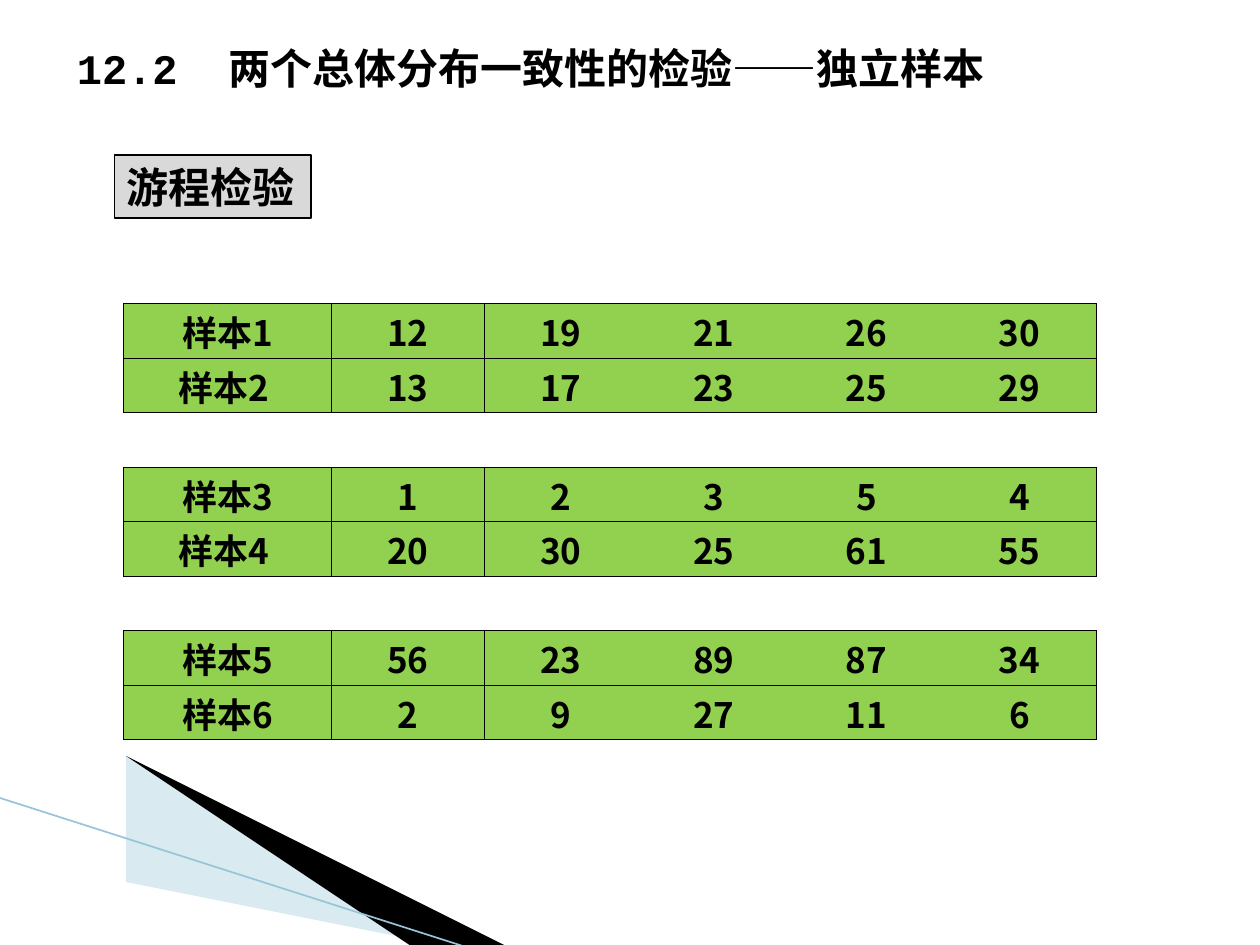
from dataclasses import dataclass

from lxml.etree import SubElement
from pptx import Presentation
from pptx.dml.color import RGBColor as RGB
from pptx.enum.shapes import MSO_CONNECTOR as CONN, MSO_SHAPE as SHAPE
from pptx.enum.text import MSO_ANCHOR as ANCHOR, MSO_AUTO_SIZE as AUTO, PP_ALIGN as ALIGN
from pptx.oxml.ns import qn
from pptx.util import Inches, Pt


@dataclass(frozen=True)
class Theme:
    ink: str = "000000"
    label: str = "D9D9D9"
    cell: str = "92D050"
    sweep: str = "A0CBDC"
    edge: str = "97C5D8"
    mono: str = "Courier New"
    sans: str = "Noto Sans CJK SC"
    heading: float = 24
    body: float = 20


@dataclass(frozen=True)
class Wedge:
    points: tuple[tuple[float, float], ...]
    color: str
    opacity: int = 100


@dataclass(frozen=True)
class Sample:
    name: str
    values: tuple[int, ...]


T = Theme()
WEDGES = (
    Wedge(((0.55, 6.51), (5.95, 7.51), (4.56, 7.51), (0.55, 6.5)), T.sweep, 40),
    Wedge(((0.53, 6.49), (4.57, 7.51), (3.72, 7.52), (0.54, 6.5)), T.ink),
)
PAIRS = (
    (Sample("样本1", (12, 19, 21, 26, 30)), Sample("样本2 ", (13, 17, 23, 25, 29))),
    (Sample("样本3", (1, 2, 3, 5, 4)), Sample("样本4 ", (20, 30, 25, 61, 55))),
    (Sample("样本5", (56, 23, 89, 87, 34)), Sample("样本6", (2, 9, 27, 11, 6))),
)
NAME_W, VALUE_W, ROW_H = 1.65, 1.214, 0.433


def rgb(color: str) -> RGB:
    return RGB.from_string(color)


def style_text(tf, font: str, size: float, align=ALIGN.LEFT) -> None:
    for p in tf.paragraphs:
        p.alignment = align
        for r in p.runs:
            r.font.name, r.font.size, r.font.bold = font, Pt(size), True
            r.font.color.rgb = rgb(T.ink)


def draw_wedge(shapes, wedge: Wedge) -> None:
    start, *rest = wedge.points
    builder = shapes.build_freeform(*start, scale=Inches(1))
    builder.add_line_segments(rest)
    sp = builder.convert_to_shape()
    sp.shadow.inherit = False
    sp.fill.solid()
    sp.fill.fore_color.rgb = rgb(wedge.color)
    sp.line.fill.background()
    if wedge.opacity < 100:
        clr = sp.fill._xPr.find(".//" + qn("a:srgbClr"))
        SubElement(clr, qn("a:alpha"), val=str(wedge.opacity * 1000))


def set_borders(cell, sides: str) -> None:
    """Draw thin borders on the sides named by the letters L, R, T, B."""
    pr = cell._tc.get_or_add_tcPr()
    for i, side in enumerate(s for s in "LRTB" if s in sides):
        ln = pr.makeelement(qn("a:ln" + side), {"w": str(Pt(0.5))})
        fill = SubElement(ln, qn("a:solidFill"))
        SubElement(fill, qn("a:srgbClr"), val=T.ink)
        pr.insert(i, ln)


def fill_row(table, row: int, sample: Sample) -> None:
    last = len(sample.values)
    for col, value in enumerate((sample.name, *sample.values)):
        cell = table.cell(row, col)
        cell.text = str(value)
        style_text(cell.text_frame, T.sans, T.body, ALIGN.CENTER)
        for r in cell.text_frame.paragraphs[0].runs:
            SubElement(r.font._element, qn("a:ea"), typeface=T.sans)
        cell.fill.solid()
        cell.fill.fore_color.rgb = rgb(T.cell)
        set_borders(cell, {0: "LRTB", 1: "LTB", last: "RTB"}.get(col, "TB"))


prs = Presentation()
prs.slide_width, prs.slide_height = Inches(10), Inches(7.5)
slide = prs.slides.add_slide(prs.slide_layouts[5])
shapes = slide.shapes

# Corner decoration
for wedge in WEDGES:
    draw_wedge(shapes, wedge)
edge = shapes.add_connector(CONN.STRAIGHT, Inches(-0.01), Inches(6.33), Inches(3.71), Inches(7.52))
edge.line.color.rgb, edge.line.width = rgb(T.edge), Pt(0.95)
SubElement(edge._element.spPr, qn("a:effectLst"))

# Section label
label = shapes.add_shape(SHAPE.RECTANGLE, Inches(0.91), Inches(1.23), Inches(1.56), Inches(0.5))
label.shadow.inherit = False
label.fill.solid()
label.fill.fore_color.rgb = rgb(T.label)
label.line.color.rgb, label.line.width = rgb(T.ink), Pt(0.75)
label.text_frame.text = "游程检验"
label.text_frame.word_wrap = False
style_text(label.text_frame, T.mono, T.heading)

# Sample table: pairs of rows with an empty row between them
n_rows, n_cols = 3 * len(PAIRS) - 1, 1 + len(PAIRS[0][0].values)
frame = shapes.add_table(n_rows, n_cols, Inches(0.98), Inches(2.41),
                         Inches(NAME_W + (n_cols - 1) * VALUE_W), Inches(n_rows * ROW_H))
table = frame.table
table.first_row = table.horz_banding = False
table._tbl.tblPr.find(qn("a:tableStyleId")).text = "{2D5ABB26-0587-4C30-8999-92F81FD0307C}"
for i, column in enumerate(table.columns):
    column.width = Inches(VALUE_W if i else NAME_W)
for row in table.rows:
    row.height = Inches(ROW_H)
for cell in table.iter_cells():
    cell.margin_left = cell.margin_right = cell.margin_top = Inches(0.01)
    cell.margin_bottom = 0
    cell.vertical_anchor = ANCHOR.MIDDLE
for i, pair in enumerate(PAIRS):
    for j, sample in enumerate(pair):
        fill_row(table, 3 * i + j, sample)

# Title
title = shapes.title
title.left, title.top, title.width, title.height = map(Inches, (0.51, 0.29, 7.72, 0.5))
tf = title.text_frame
tf.text = "12.2  两个总体分布一致性的检验——独立样本"
tf.word_wrap, tf.auto_size, tf.vertical_anchor = True, AUTO.NONE, ANCHOR.TOP
style_text(tf, T.mono, T.heading)

prs.save("out.pptx")
